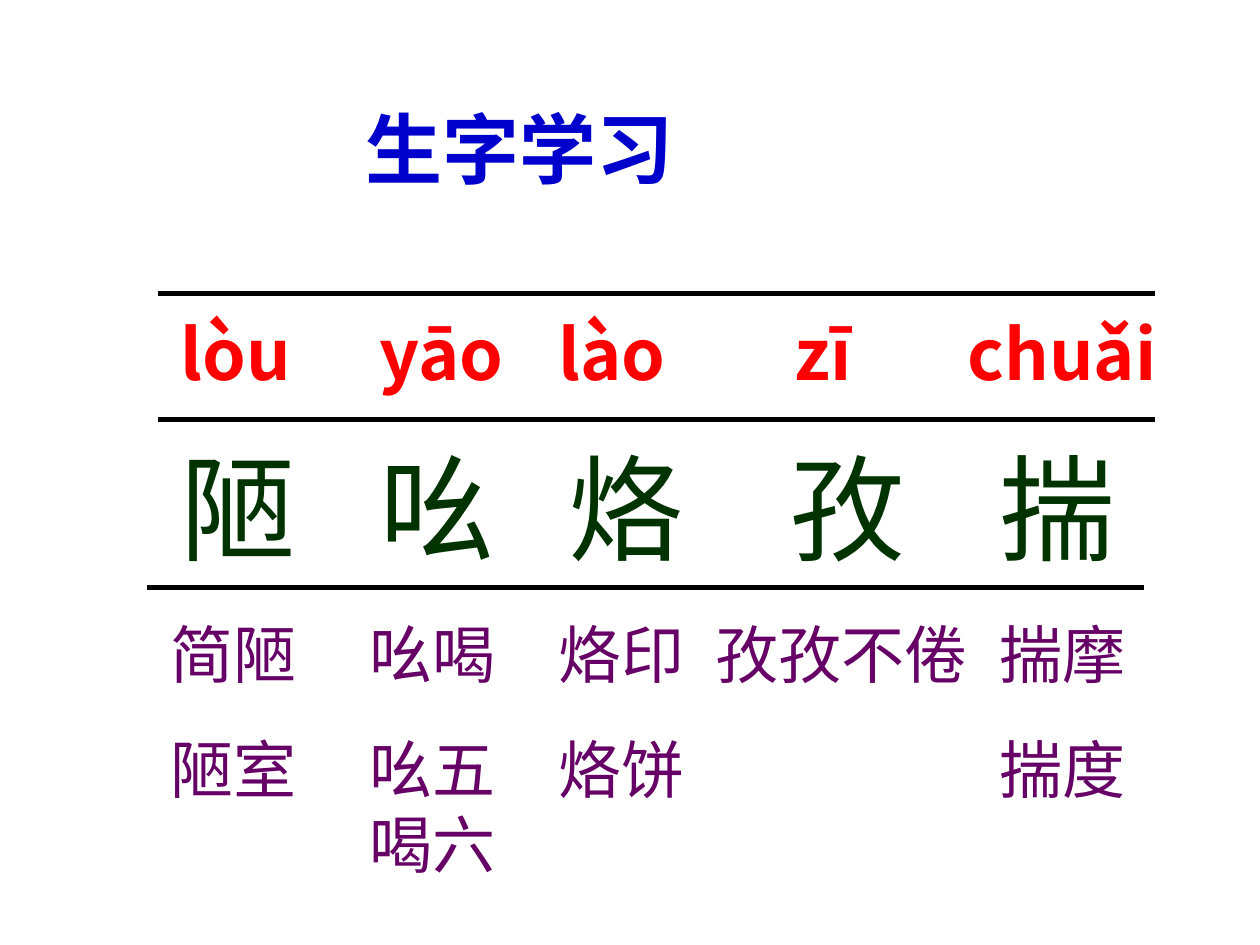
from pptx import Presentation
from pptx import util as u
from pptx.dml.color import RGBColor
from pptx.enum import shapes, text
from pptx.oxml.ns import qn
from lxml import etree

BLUE = RGBColor(0x00, 0x00, 0xCC)
RED = RGBColor(0xFF, 0x00, 0x00)
GREEN = RGBColor(0x00, 0x33, 0x00)
PURPLE = RGBColor(0x66, 0x00, 0x66)
BLACK = RGBColor(0x00, 0x00, 0x00)
LATIN = "Arial"
PINYIN = "Noto Sans CJK SC"

ENTRIES = [
    ("lòu", "陋", ["简陋", "陋室"]),
    ("yāo", "吆", ["吆喝", "吆五喝六"]),
    ("lào", "烙", ["烙印", "烙饼"]),
    ("zī", "孜", ["孜孜不倦"]),
    ("chuǎi", "揣", ["揣摩", "揣度"]),
]
PINYIN_BOXES = [(0.21, 2.97), (4.23, 5.29), (7.82, 5.29), (12.59, 5.29), (16.08, 5.29)]
CHARACTER_LEFTS = [0.21, 4.23, 8.04, 12.48, 16.72]
WORD_BOXES = [(0, 3.18, 4.11), (4.02, 3.18, 5.63), (7.82, 3.18, 4.11),
              (11, 6.77, 1.78), (16.72, 3.18, 4.11)]


def add_words(slide, box, lines, size, color, font=LATIN, bold=False):
    frame = slide.shapes.add_textbox(*map(u.Cm, box)).text_frame
    frame.word_wrap = True
    frame.auto_size = text.MSO_AUTO_SIZE.SHAPE_TO_FIT_TEXT
    for index, line in enumerate(lines):
        paragraph = frame.add_paragraph() if index else frame.paragraphs[0]
        if index:
            paragraph.space_before = u.Pt(22.5)
        run = paragraph.add_run()
        run.text = line
        run.font.name = font
        run.font.size = u.Pt(size)
        run.font.bold = bold
        run.font.color.rgb = color


def add_rule(slide, left, top, width):
    rule = slide.shapes.add_connector(
        shapes.MSO_CONNECTOR.STRAIGHT,
        u.Cm(left), u.Cm(top), u.Cm(left + width), u.Cm(top))
    rule.line.color.rgb = BLACK
    rule.line.width = u.Pt(3)
    etree.SubElement(rule._element.spPr, qn("a:effectLst"))


def add_heading(slide, left, top, width, height):
    add_words(slide, (left, top, width, height), ["生字学习"], 44, BLUE, bold=True)


def add_vocabulary(slide, left, top, width):
    for shift, drop in [(0, 0), (0, 2.54), (-0.21, 5.93)]:
        add_rule(slide, left + shift, top + drop, width)
    columns = zip(ENTRIES, PINYIN_BOXES, CHARACTER_LEFTS, WORD_BOXES)
    for (pinyin, character, words), pinyin_box, character_left, word_box in columns:
        pinyin_left, pinyin_width = pinyin_box
        word_left, word_width, word_height = word_box
        add_words(slide, (left + pinyin_left, top + 0.22, pinyin_width, 1.95),
                  [pinyin], 40, RED, PINYIN, True)
        add_words(slide, (left + character_left, top + 2.76, 3.6, 3.05),
                  [character], 66, GREEN)
        add_words(slide, (left + word_left, top + 6.36, word_width, word_height),
                  words, 36, PURPLE)


def main():
    deck = Presentation()
    deck.slide_width, deck.slide_height = u.Cm(25.4), u.Cm(19.05)
    slide = deck.slides.add_slide(deck.slide_layouts[6])
    add_heading(slide, 7.11, 1.93, 7.19, 2.13)
    add_vocabulary(slide, 3.18, 5.92, 20.1)
    deck.save("out.pptx")


if __name__ == "__main__":
    main()
